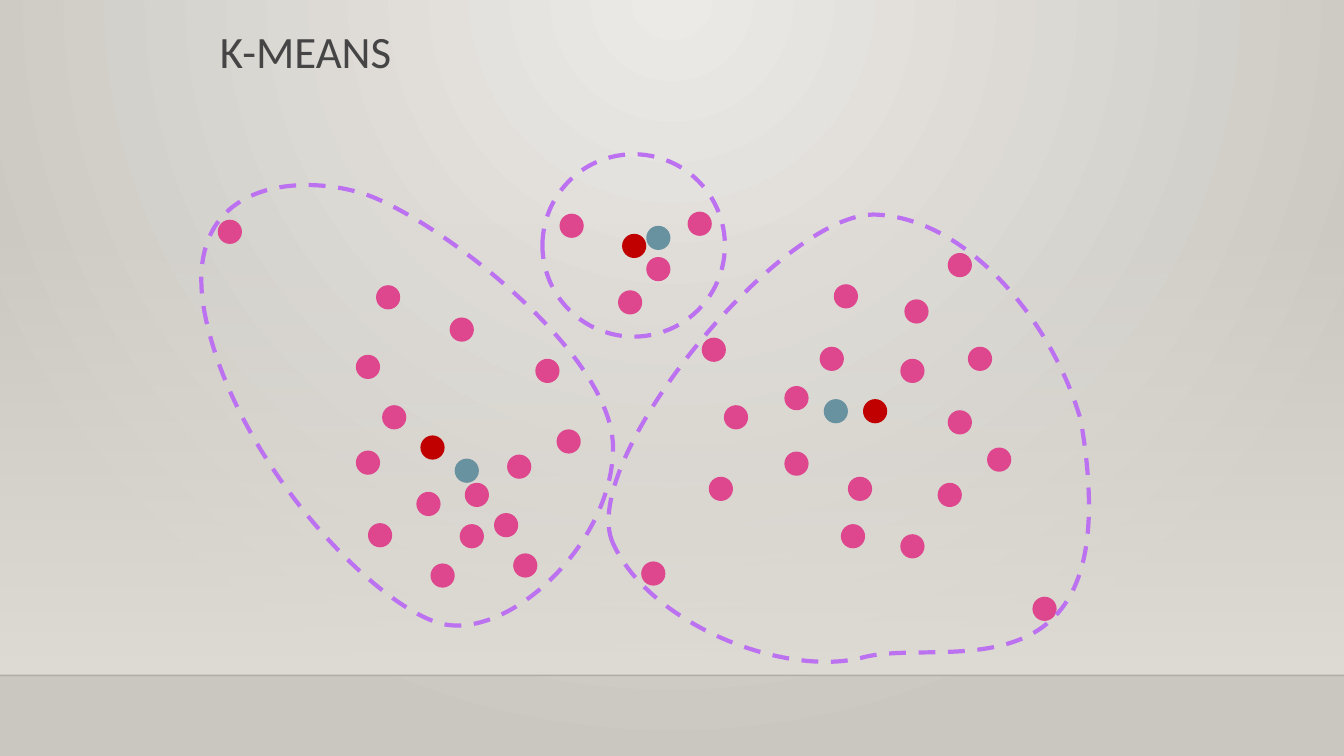
"""Build a slide showing three K-means clusters with their centroids."""
from lxml.etree import SubElement
from pptx import Presentation
from pptx.dml.color import RGBColor
from pptx.enum.dml import MSO_LINE
from pptx.enum.shapes import MSO_CONNECTOR, MSO_SHAPE
from pptx.enum.text import MSO_ANCHOR, PP_ALIGN
from pptx.oxml.ns import qn
from pptx.util import Inches, Pt

WIDTH, HEIGHT = 13.33, 7.5
FLOOR = 6.7
WALL_TOP = 2.21
DOT = 0.24
PINK, RED, BLUE, PURPLE = "DE478E", "C00000", "6892A0", "BC72F0"

TITLE = "K-MEANS"
LEFT_POINTS = [
    (2.16, 2.18), (3.73, 2.83), (4.46, 3.15), (3.53, 3.52), (5.31, 3.56),
    (3.79, 4.02), (5.52, 4.26), (3.53, 4.47), (5.03, 4.51), (4.61, 4.79),
    (4.13, 4.88), (4.9, 5.09), (3.65, 5.19), (4.56, 5.2), (5.09, 5.49),
    (4.27, 5.59),
]
TOP_POINTS = [(5.55, 2.12), (6.82, 2.1), (6.41, 2.55), (6.13, 2.88)]
RIGHT_POINTS = [
    (9.4, 2.51), (8.27, 2.82), (8.97, 2.97), (6.96, 3.35), (8.13, 3.44),
    (9.6, 3.44), (8.93, 3.56), (7.78, 3.83), (7.18, 4.02), (9.4, 4.07),
    (9.79, 4.44), (7.78, 4.48), (7.03, 4.73), (8.41, 4.73), (9.3, 4.79),
    (8.34, 5.2), (8.93, 5.3), (6.36, 5.57), (10.24, 5.92),
]
RED_CENTROIDS = [(4.17, 4.32), (6.17, 2.32), (8.56, 3.96)]
BLUE_CENTROIDS = [(4.51, 4.55), (6.41, 2.24), (8.17, 3.96)]
LEFT_BOX = (2, 1.84, 4.08, 4.37)
LEFT_OUTLINE = [
    (2.05, 3.2), (1.73, 1.81), (2.93, 1.71), (3.6, 1.92),
    (4.27, 2.13), (6.08, 3.48), (6.08, 4.44),
    (6.08, 5.4), (5.02, 6.38), (4.35, 6.18),
    (3.67, 5.97), (2.37, 4.59), (2.05, 3.2),
]
RIGHT_BOX = (6.04, 2.13, 4.76, 4.44)
RIGHT_OUTLINE = [
    (6.08, 5.39), (5.71, 4.59), (7.77, 2.07), (8.7, 2.13),
    (9.62, 2.18), (10.45, 3.22), (10.72, 4.17),
    (11.21, 7.03), (9.35, 6.32), (8.57, 6.52),
    (7.8, 6.73), (6.45, 6.2), (6.08, 5.39),
]
TOP_CIRCLE = (5.38, 1.53, 1.81, 1.81)


def color(code):
    return RGBColor.from_string(code)


def set_gradient(fill, start, end):
    fill.gradient()
    for stop, code in zip(fill.gradient_stops, (start, end)):
        stop.color.rgb = color(code)


def set_alpha(shape, percent):
    first_color = shape.element.xpath(".//a:srgbClr")[0]
    SubElement(first_color, qn("a:alpha"), val=str(percent * 1000))


def paint_background(slide):
    set_gradient(slide.background.fill, "ECEAE7", "CAC7C1")
    gradient = slide.element.xpath("./p:cSld/p:bg//a:gradFill")[0]
    gradient.remove(gradient.find(qn("a:lin")))
    circle = SubElement(gradient, qn("a:path"), path="circle")
    SubElement(circle, qn("a:fillToRect"), l="43000", t="0", r="43000", b="100000")


def add_room(slide):
    wall = slide.shapes.add_shape(MSO_SHAPE.RECTANGLE, 0, Inches(WALL_TOP),
                                  Inches(WIDTH), Inches(FLOOR - WALL_TOP))
    wall.shadow.inherit = False
    set_gradient(wall.fill, "DFDBD5", "DFDBD5")
    wall.fill.gradient_angle = 270
    wall.line.fill.background()
    set_alpha(wall, 0)
    edge = slide.shapes.add_connector(MSO_CONNECTOR.STRAIGHT, 0, Inches(FLOOR),
                                      Inches(WIDTH), Inches(FLOOR))
    edge.line.color.rgb = color("000001")
    edge.line.width = Pt(1)
    set_alpha(edge, 20)
    SubElement(edge.element.spPr, qn("a:effectLst"))


def add_title(slide):
    title = slide.shapes.title
    title.left, title.top = Inches(2.08), Inches(0.25)
    title.width, title.height = Inches(9.17), Inches(1.21)
    frame = title.text_frame
    frame.text = TITLE
    frame.vertical_anchor = MSO_ANCHOR.TOP
    para = frame.paragraphs[0]
    para.alignment = PP_ALIGN.LEFT
    para.line_spacing = 0.9
    font = para.runs[0].font
    font.name, font.size = "Calibri", Pt(32)
    font.color.rgb = color("454545")


def add_dots(slide, positions, code):
    for left, top in positions:
        dot = slide.shapes.add_shape(MSO_SHAPE.FLOWCHART_CONNECTOR, Inches(left),
                                     Inches(top), Inches(DOT), Inches(DOT))
        dot.shadow.inherit = False
        dot.fill.solid()
        dot.fill.fore_color.rgb = color(code)
        dot.line.fill.background()


def add_curve(slide, box, controls):
    left, top, width, height = map(Inches, box)
    builder = slide.shapes.build_freeform(left, top)
    builder.add_line_segments([(left + width, top), (left + width, top + height),
                               (left, top + height)], close=True)
    curve = builder.convert_to_shape()
    track = curve.element.xpath(".//a:path")[0]
    for corner in list(track):
        track.remove(corner)
    segments = [("a:moveTo", controls[:1])]
    segments += [("a:cubicBezTo", controls[start:start + 3])
                 for start in range(1, len(controls), 3)]
    for tag, points in segments:
        segment = SubElement(track, qn(tag))
        for x, y in points:
            SubElement(segment, qn("a:pt"), x=str(Inches(x) - left),
                       y=str(Inches(y) - top))
    SubElement(track, qn("a:close"))
    return curve


def style_outline(outline):
    outline.shadow.inherit = False
    outline.fill.background()
    outline.line.color.rgb = color(PURPLE)
    outline.line.width = Pt(3)
    outline.line.dash_style = MSO_LINE.DASH


def main():
    deck = Presentation()
    deck.slide_width, deck.slide_height = Inches(WIDTH), Inches(HEIGHT)
    slide = deck.slides.add_slide(deck.slide_layouts[5])
    paint_background(slide)
    add_room(slide)
    add_title(slide)
    add_dots(slide, LEFT_POINTS + TOP_POINTS + RIGHT_POINTS, PINK)
    add_dots(slide, RED_CENTROIDS, RED)
    for box, controls in ((LEFT_BOX, LEFT_OUTLINE), (RIGHT_BOX, RIGHT_OUTLINE)):
        style_outline(add_curve(slide, box, controls))
    style_outline(slide.shapes.add_shape(MSO_SHAPE.OVAL, *map(Inches, TOP_CIRCLE)))
    add_dots(slide, BLUE_CENTROIDS, BLUE)
    deck.save("out.pptx")


if __name__ == "__main__":
    main()
